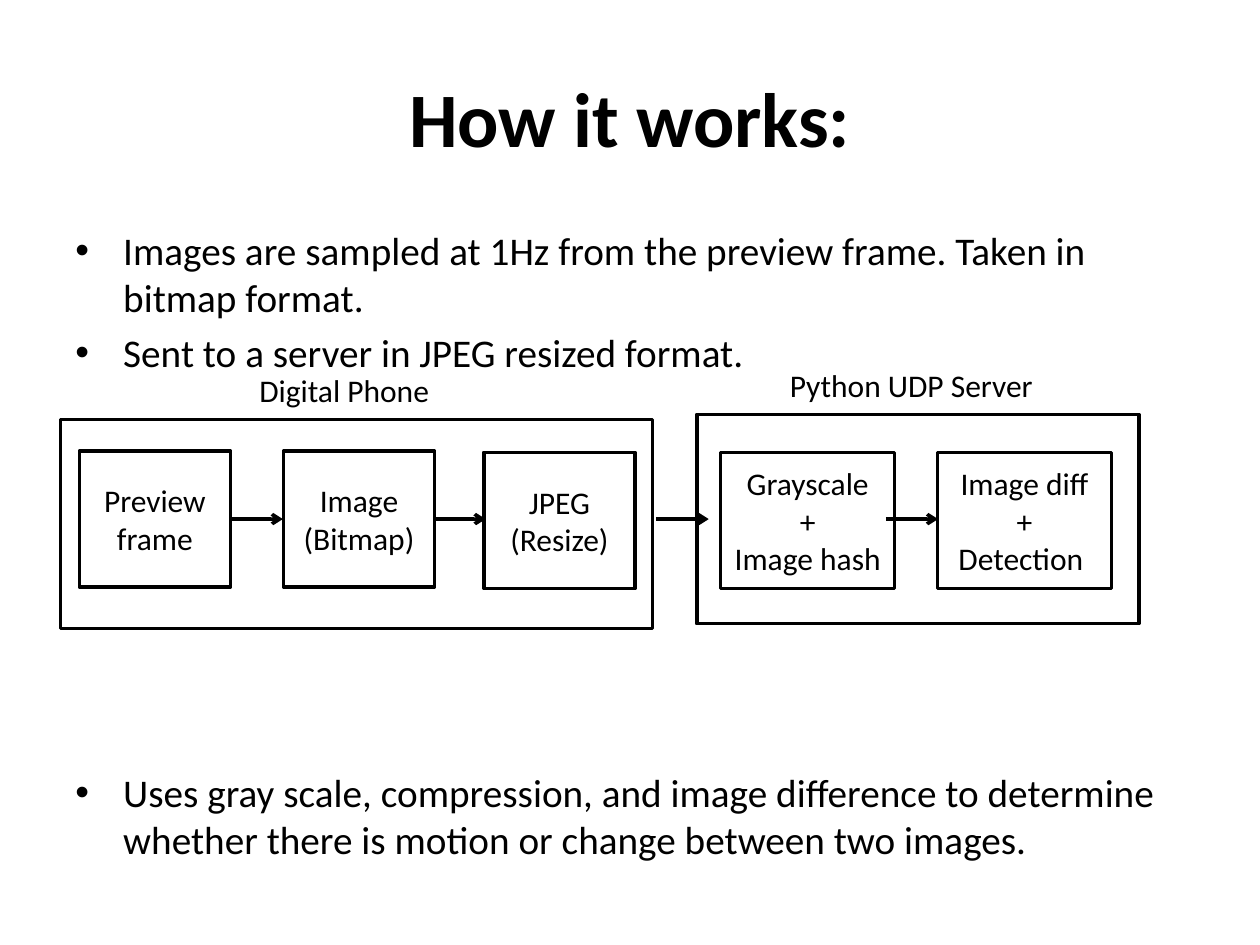
from pptx import Presentation
from pptx.util import Inches, Pt
from pptx.dml.color import RGBColor as Rgb
from pptx.enum.shapes import MSO_SHAPE as Shape, MSO_CONNECTOR as Link
from pptx.enum.text import PP_ALIGN as Align, MSO_ANCHOR as Anchor
from pptx.oxml.ns import qn
from lxml.etree import SubElement as Sub

INK = {"text": "000000", "line": "000000", "fill": "FFFFFF"}
FONT = "Calibri"


def unit(n):
    """One grid unit is a hundredth of the slide's width."""
    return Inches(round(n / 10, 3))


def style(frame, size, align=Align.LEFT, bold=False):
    for para in frame.paragraphs:
        para.alignment = align
        for run in para.runs:
            font = run.font
            font.name, font.size, font.bold = FONT, Pt(size), bold
            font.color.rgb = Rgb.from_string(INK["text"])


def write(shapes, box, text, size, align=Align.LEFT, bold=False,
          anchor=Anchor.TOP, wrap=True):
    frame = shapes.add_textbox(*map(unit, box)).text_frame
    frame.word_wrap, frame.vertical_anchor = wrap, anchor
    frame.text = text
    style(frame, size, align, bold)
    return frame


def bullets(shapes, box, lines):
    frame = write(shapes, box, "\n".join(lines), 22.4)
    for para in frame.paragraphs:
        para.space_before = Pt(4.5)
        prop = para._p.get_or_add_pPr()
        prop.set("marL", str(Inches(0.38)))
        prop.set("indent", str(-Inches(0.38)))
        Sub(prop, qn("a:buFont"), typeface="Arial")
        Sub(prop, qn("a:buChar"), char="•")


def block(shapes, box, text=""):
    rect = shapes.add_shape(Shape.RECTANGLE, *map(unit, box))
    rect.shadow.inherit = False
    rect.fill.solid()
    rect.fill.fore_color.rgb = Rgb.from_string(INK["fill"])
    rect.line.color.rgb = Rgb.from_string(INK["line"])
    rect.line.width = Pt(2)
    frame = rect.text_frame
    frame.word_wrap, frame.vertical_anchor = True, Anchor.MIDDLE
    frame.text = text
    style(frame, 18, Align.CENTER)


def arrow(shapes, x, y, span=4.15):
    link = shapes.add_connector(
        Link.STRAIGHT, unit(x), unit(y), unit(x + span), unit(y))
    link.line.color.rgb = Rgb.from_string(INK["line"])
    link.line.width = Pt(2)
    prop = link._element.spPr
    Sub(prop.find(qn("a:ln")), qn("a:tailEnd"), type="arrow")
    Sub(prop, qn("a:effectLst"))


def panel(slide, box, label, wide, steps, links):
    """A labelled frame; steps and links are offsets from its corner."""
    shapes = slide.shapes.add_group_shape().shapes
    x, y, w, h = box
    block(shapes, box)
    for dx, dy, text in steps:
        block(shapes, (x + dx, y + dy, wide, 10.8), text)
    for dx, dy in links:
        arrow(shapes, x + dx, y + dy)
    dx, tw, text = label
    write(shapes, (x + dx, y - 4.35, tw, 4), text, 18, wrap=False)


deck = Presentation()
deck.slide_width, deck.slide_height = unit(100), unit(75)
slide = deck.slides.add_slide(deck.slide_layouts[6])

# Title and bullets
write(slide.shapes, (5, 3, 90, 12.5), "How it works:", 44,
      Align.CENTER, True, Anchor.MIDDLE)
bullets(slide.shapes, (5, 17.5, 90, 12), [
    "Images are sampled at 1Hz from the preview frame. "
    "Taken in bitmap format.",
    "Sent to a server in JPEG resized format."])
bullets(slide.shapes, (5, 60.5, 90, 9), [
    "Uses gray scale, compression, and image difference to determine "
    "whether there is motion or change between two images."])

# Server side
panel(slide, (55.3, 32.9, 35.1, 16.6), (6.4, 21.5, "Python UDP Server"), 13.8,
      [(1.9, 3, "Grayscale\n+\nImage hash"),
       (19.1, 3, "Image diff +\nDetection ")],
      [(15, 8.3)])

# Phone side
panel(slide, (4.8, 33.3, 47, 16.6), (14.8, 17.4, "Digital Phone"), 12,
      [(1.5, 2.5, "Preview frame"),
       (17.7, 2.5, "Image (Bitmap)"),
       (36 - 2.4, 2.6, "JPEG (Resize)")],
      [(13.5, 7.9), (29.6, 7.9)])

# Transfer from phone to server
arrow(slide.shapes, 52.1, 41.2)

deck.save("out.pptx")
